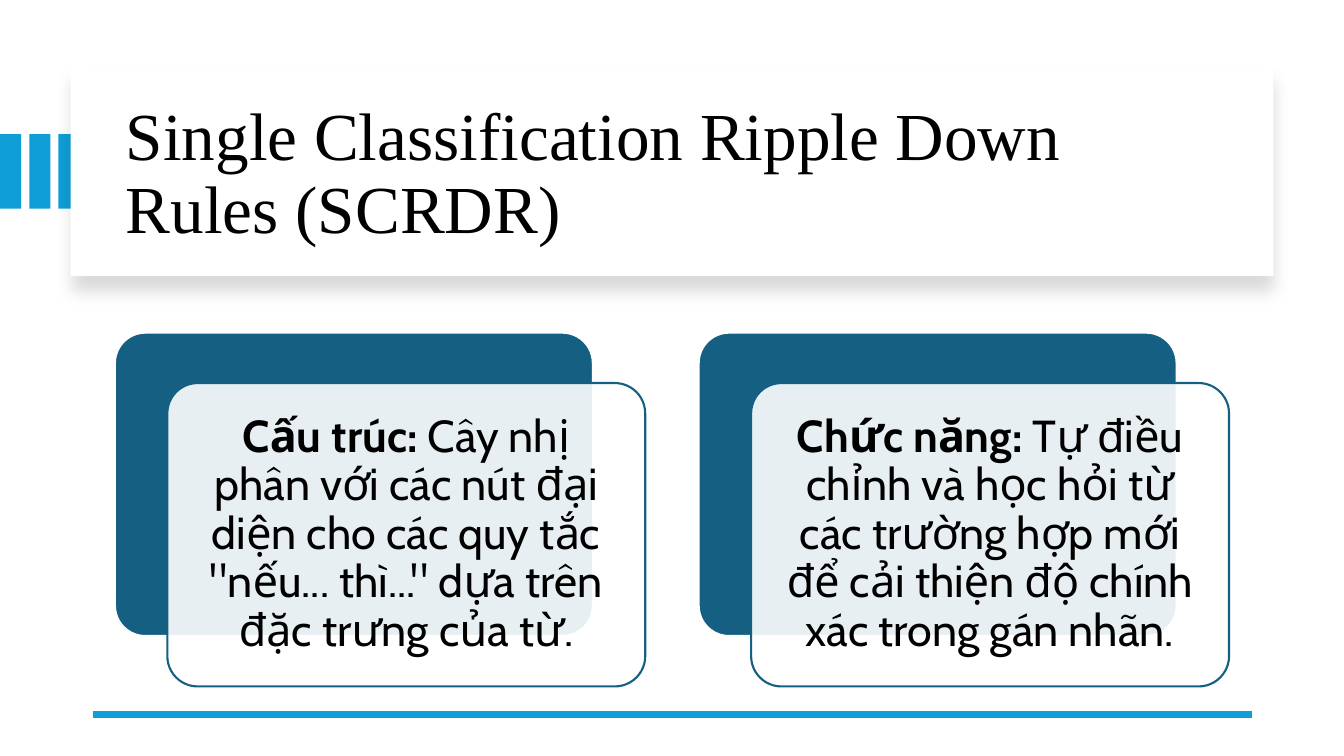
from dataclasses import dataclass

from lxml.etree import SubElement
from pptx import Presentation
from pptx.dml.color import RGBColor
from pptx.enum.shapes import MSO_CONNECTOR, MSO_SHAPE
from pptx.enum.text import MSO_ANCHOR, PP_ALIGN
from pptx.oxml.ns import qn
from pptx.shapes.autoshape import Shape
from pptx.slide import Slide
from pptx.util import Inches, Pt


@dataclass(frozen=True)
class Theme:
    """Colours, fonts and type sizes of the slide."""
    accent: RGBColor = RGBColor(0x0F, 0x9E, 0xD5)
    deep: RGBColor = RGBColor(0x15, 0x60, 0x82)
    paper: RGBColor = RGBColor(0xFF, 0xFF, 0xFF)
    ink: RGBColor = RGBColor(0x00, 0x00, 0x00)
    heading_font: str = "Times New Roman"
    body_font: str = "Cabin"
    heading_size: Pt = Pt(48)
    body_size: Pt = Pt(32)
    border: Pt = Pt(1.5)
    rule: Pt = Pt(4.5)
    spacing: float = 0.9


@dataclass(frozen=True)
class Box:
    """A rectangle in inches."""
    left: float
    top: float
    width: float
    height: float

    def shifted(self, right: float, down: float = 0) -> "Box":
        """Return the box moved by the given distances."""
        return Box(self.left + right, self.top + down, self.width, self.height)

    def inset(self, margin: float) -> "Box":
        """Return the box shrunk by the margin on every side."""
        return Box(self.left + margin, self.top + margin,
                   self.width - 2 * margin, self.height - 2 * margin)

    def lengths(self) -> tuple[Inches, Inches, Inches, Inches]:
        """Return the position and size as lengths."""
        return (Inches(self.left), Inches(self.top),
                Inches(self.width), Inches(self.height))


@dataclass(frozen=True)
class Card:
    """A bold term followed by its explanation."""
    term: str
    explanation: str


THEME = Theme()
TITLE = "Single Classification Ripple Down Rules (SCRDR)"
CARDS = (
    Card("Cấu trúc:", " Cây nhị phân với các nút đại diện cho các quy tắc "
                      "\"nếu... thì...\" dựa trên đặc trưng của từ."),
    Card("Chức năng:", " Tự điều chỉnh và học hỏi từ các trường hợp mới "
                       "để cải thiện độ chính xác trong gán nhãn."),
)
BAR = Box(0, 1.33, 0.21, 0.74)
BAR_COUNT, BAR_PITCH = 3, 0.29
BANNER = Box(0.7, 0.67, 11.93, 2.07)
TITLE_BOX = Box(1.15, 0.89, 11.13, 1.7)
CARD_BACK = Box(1.14, 3.3, 4.74, 3.01)
CARD_PITCH = 5.79
CARD_OFFSET = (0.52, 0.5)


def add_panel(slide: Slide, box: Box, fill: RGBColor,
              line: RGBColor | None = None, rounded: bool = False) -> Shape:
    """Add a filled rectangle, optionally rounded and outlined."""
    preset = MSO_SHAPE.ROUNDED_RECTANGLE if rounded else MSO_SHAPE.RECTANGLE
    panel = slide.shapes.add_shape(preset, *box.lengths())
    panel.shadow.inherit = False
    panel.fill.solid()
    panel.fill.fore_color.rgb = fill
    if rounded:
        panel.adjustments[0] = 0.1
    if line is None:
        panel.line.fill.background()
    else:
        panel.line.color.rgb = line
        panel.line.width = THEME.border
    return panel


def add_alpha(colour_parent, percent: int) -> None:
    """Set the opacity of the colour held by the element."""
    colour = colour_parent.find(qn("a:srgbClr"))
    SubElement(colour, qn("a:alpha"), val=str(percent * 1000))


def add_soft_shadow(panel: Shape) -> None:
    """Cast a soft shadow below the panel."""
    effects = panel._element.spPr.find(qn("a:effectLst"))
    shadow = SubElement(effects, qn("a:outerShdw"), blurRad=str(Pt(11)),
                        dist=str(Pt(10)), dir="5400000", rotWithShape="0")
    SubElement(shadow, qn("a:srgbClr"), val=str(THEME.ink))
    add_alpha(shadow, 15)


def add_text(slide: Slide, box: Box, runs: list[tuple[str, bool]], font: str,
             size: Pt, align: PP_ALIGN, margin: float | None = None) -> None:
    """Add a wrapped, vertically centred paragraph of plain and bold runs."""
    frame = slide.shapes.add_textbox(*box.lengths()).text_frame
    frame.word_wrap = True
    frame.vertical_anchor = MSO_ANCHOR.MIDDLE
    if margin is not None:
        frame.margin_left = frame.margin_right = Inches(margin)
        frame.margin_top = frame.margin_bottom = Inches(margin)
    paragraph = frame.paragraphs[0]
    paragraph.alignment = align
    paragraph.line_spacing = THEME.spacing
    paragraph.font.name = font
    paragraph.font.size = size
    paragraph.font.color.rgb = THEME.ink
    for words, bold in runs:
        run = paragraph.add_run()
        run.text = words
        if bold:
            run.font.bold = True


def add_header(slide: Slide) -> None:
    """Draw the side bars, the raised banner and the title."""
    for index in range(BAR_COUNT):
        add_panel(slide, BAR.shifted(index * BAR_PITCH), THEME.accent)
    add_soft_shadow(add_panel(slide, BANNER, THEME.paper))
    add_text(slide, TITLE_BOX, [(TITLE, False)], THEME.heading_font,
             THEME.heading_size, PP_ALIGN.LEFT)


def add_footer_rule(slide: Slide) -> None:
    """Draw the rule along the bottom."""
    rule = slide.shapes.add_connector(
        MSO_CONNECTOR.STRAIGHT, Inches(12.42), Inches(7.09), Inches(0.92), Inches(7.09))
    rule.line.color.rgb = THEME.accent
    rule.line.width = THEME.rule
    SubElement(rule._element.spPr, qn("a:effectLst"))


def add_card(slide: Slide, card: Card, back: Box) -> None:
    """Draw a dark panel with a translucent text panel over it."""
    add_panel(slide, back, THEME.deep, THEME.paper, rounded=True)
    front = back.shifted(*CARD_OFFSET)
    glass = add_panel(slide, front, THEME.paper, THEME.deep, rounded=True)
    add_alpha(glass._element.spPr.find(qn("a:solidFill")), 90)
    add_text(slide, front.inset(0.09), [(card.term, True), (card.explanation, False)],
             THEME.body_font, THEME.body_size, PP_ALIGN.CENTER, margin=0.15)


def main() -> None:
    """Build the slide and save it."""
    deck = Presentation()
    deck.slide_width, deck.slide_height = Inches(13.33), Inches(7.5)
    slide = deck.slides.add_slide(deck.slide_layouts[6])
    add_header(slide)
    add_footer_rule(slide)
    for index, card in enumerate(CARDS):
        add_card(slide, card, CARD_BACK.shifted(index * CARD_PITCH))
    deck.save("out.pptx")


if __name__ == "__main__":
    main()
